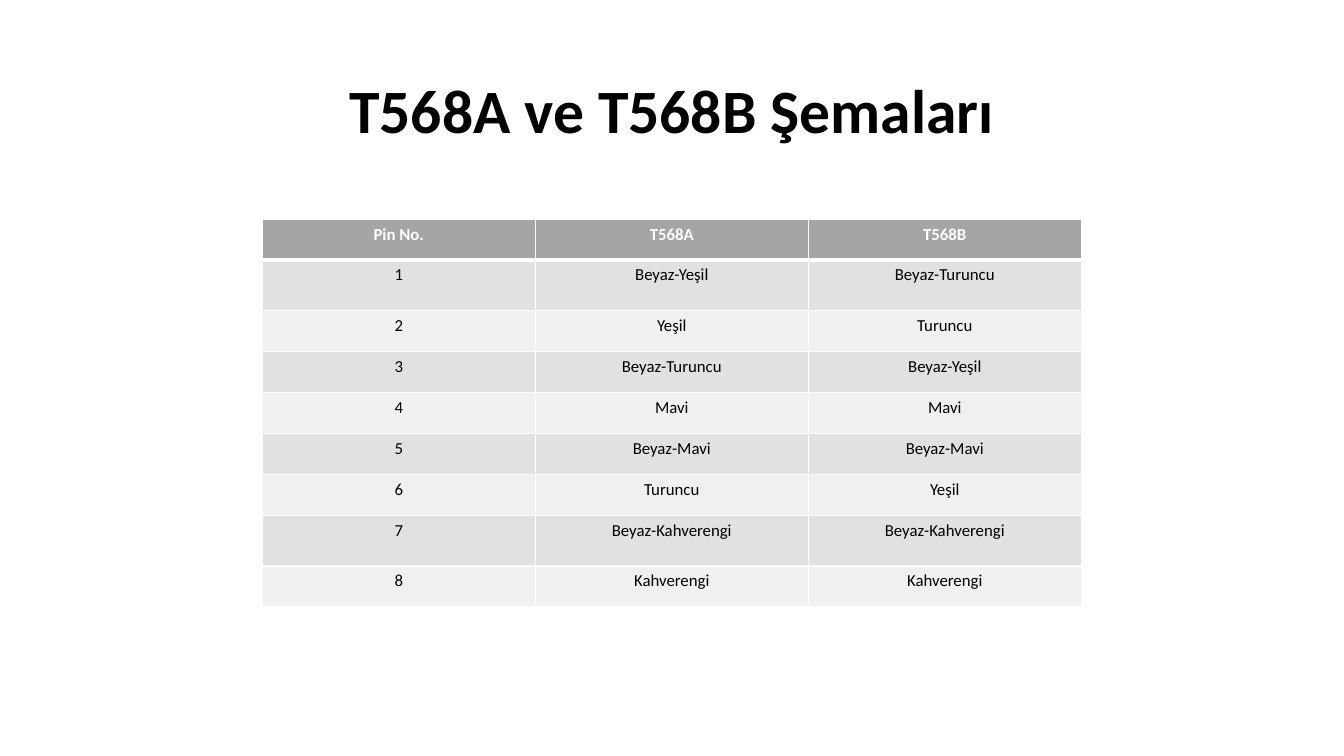
from lxml import etree
from pptx import Presentation
from pptx.dml.color import RGBColor
from pptx.enum.text import MSO_ANCHOR, MSO_AUTO_SIZE, PP_ALIGN
from pptx.oxml.ns import qn
from pptx.util import Cm, Pt

CENTER = PP_ALIGN.CENTER
MIDDLE = MSO_ANCHOR.MIDDLE
NO_FIT = MSO_AUTO_SIZE.NONE
TITLE_ONLY = 5

COLORS = {"text": "000000", "white": "FFFFFF", "header": "A5A5A5",
          "odd": "E1E1E1", "even": "F0F0F0"}
FORMATS = {
    "title": {"name": "Calibri", "size": Pt(44), "bold": True},
    "header": {"name": "Calibri", "size": Pt(12), "bold": True},
    "body": {"name": "Calibri", "size": Pt(12), "bold": False},
}
PINS = [
    ("Pin No.", "T568A", "T568B"),
    ("1", "Beyaz-Yeşil", "Beyaz-Turuncu"),
    ("2", "Yeşil", "Turuncu"),
    ("3", "Beyaz-Turuncu", "Beyaz-Yeşil"),
    ("4", "Mavi", "Mavi"),
    ("5", "Beyaz-Mavi", "Beyaz-Mavi"),
    ("6", "Turuncu", "Yeşil"),
    ("7", "Beyaz-Kahverengi", "Beyaz-Kahverengi"),
    ("8", "Kahverengi", "Kahverengi"),
]
TALL_ROWS = (1, 7)


class Deck:
    def __init__(self, width, height):
        self.prs = Presentation()
        self.prs.slide_width, self.prs.slide_height = Cm(width), Cm(height)
        self.s = None

    def add_slide(self):
        self.s = self.prs.slides.add_slide(self.prs.slide_layouts[TITLE_ONLY])

    def text(self, tf, text, style, color):
        p = tf.paragraphs[0]
        p.alignment = CENTER
        r = p.add_run()
        r.text = text
        for key, value in FORMATS[style].items():
            setattr(r.font, key, value)
        r.font.color.rgb = RGBColor.from_string(COLORS[color])
        return p

    def title(self, text, left, top, width, height):
        sp = self.s.shapes.title
        box = {"left": left, "top": top, "width": width, "height": height}
        for key, value in box.items():
            setattr(sp, key, Cm(value))
        tf = sp.text_frame
        tf.word_wrap, tf.auto_size, tf.vertical_anchor = True, NO_FIT, MIDDLE
        self.text(tf, text, "title", "text").line_spacing = 0.9

    def borders(self, cell, widths):
        tc_pr = cell._tc.get_or_add_tcPr()
        for side, width in widths.items():
            ln = etree.SubElement(tc_pr, qn(f"a:ln{side}"), w=str(Pt(width)))
            fill = etree.SubElement(ln, qn("a:solidFill"))
            etree.SubElement(fill, qn("a:srgbClr"), val=COLORS["white"])

    def table(self, rows, left, top, col_width, row_height, tall_height):
        cols = len(rows[0])
        table = self.s.shapes.add_table(
            len(rows), cols, Cm(left), Cm(top),
            Cm(col_width * cols), Cm(row_height * len(rows))).table
        for col in table.columns:
            col.width = Cm(col_width)
        for i, row in enumerate(rows):
            table.rows[i].height = Cm(tall_height if i in TALL_ROWS else row_height)
            # Header row, then alternating bands
            if i == 0:
                style, color, fill = "header", "white", "header"
            else:
                style, color, fill = "body", "text", "odd" if i % 2 else "even"
            # A thick rule parts the header from the body
            widths = {"L": 1, "R": 1, "T": 3 if i == 1 else 1, "B": 3 if i == 0 else 1}
            for j, text in enumerate(row):
                cell = table.cell(i, j)
                self.borders(cell, widths)
                cell.fill.solid()
                cell.fill.fore_color.rgb = RGBColor.from_string(COLORS[fill])
                self.text(cell.text_frame, text, style, color)


def main():
    deck = Deck(33.87, 19.05)
    deck.add_slide()
    # Heading
    deck.title("T568A ve T568B Şemaları", 2.33, 1.01, 29.21, 3.68)
    # Pin colours of both wiring schemes
    deck.table(PINS, 6.61, 5.52, 6.88, 1.03, 1.28)
    deck.prs.save("out.pptx")


if __name__ == "__main__":
    main()
